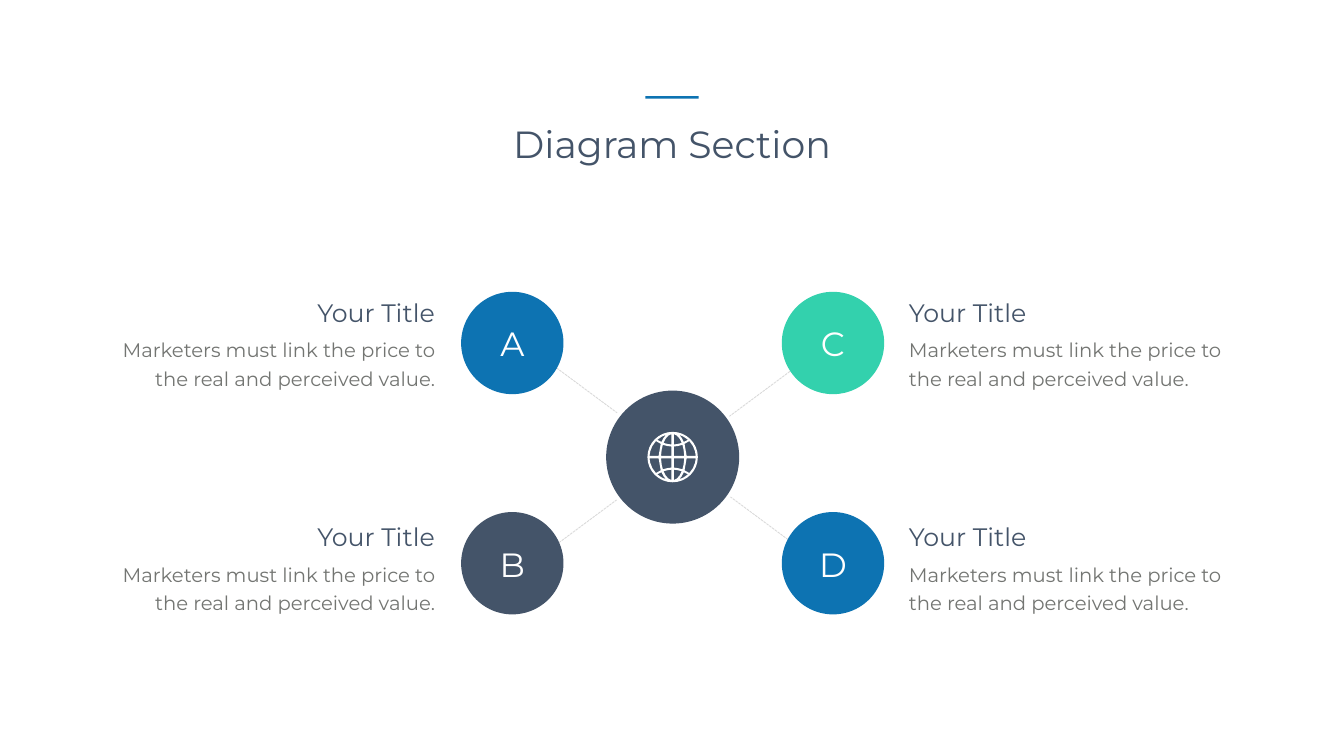
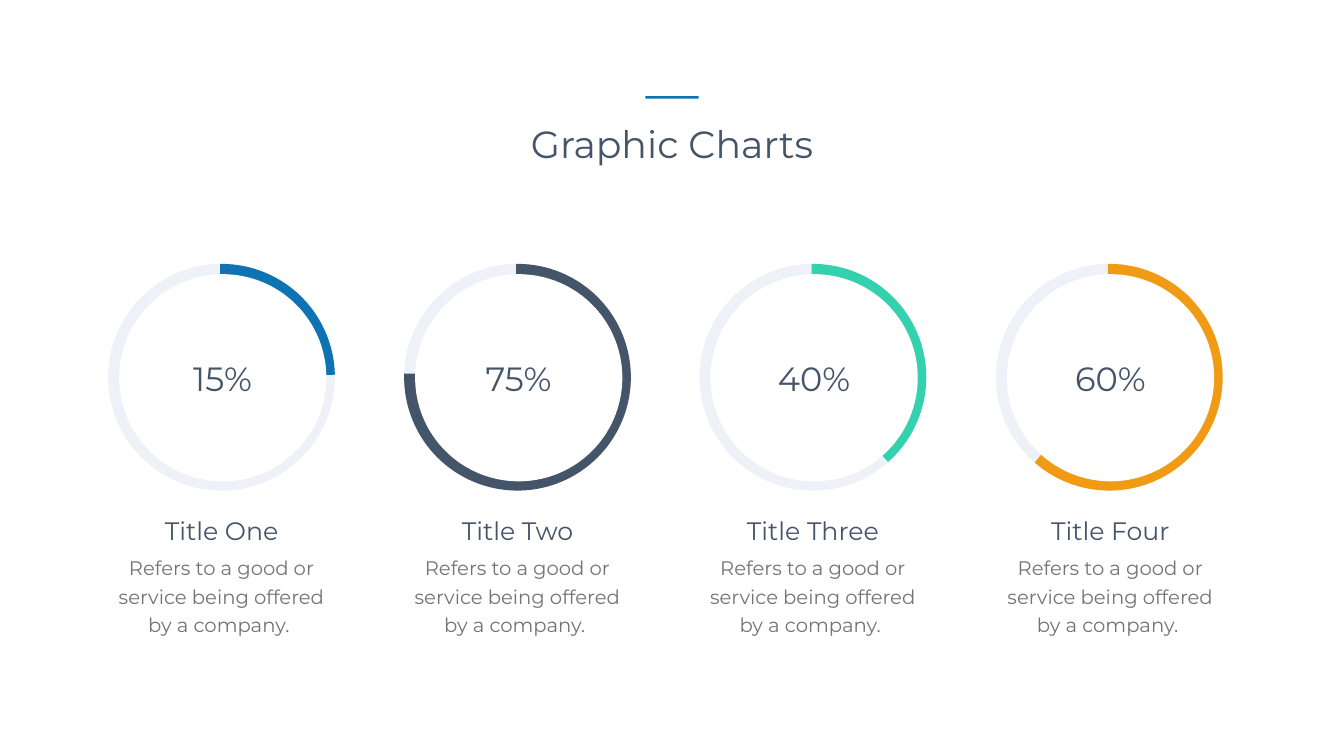
from math import cos, pi, sin, sqrt

from lxml.etree import SubElement
from pptx import Presentation
from pptx.dml.color import RGBColor
from pptx.enum.dml import MSO_LINE
from pptx.enum.shapes import MSO_CONNECTOR, MSO_SHAPE
from pptx.enum.text import MSO_ANCHOR, MSO_AUTO_SIZE, PP_ALIGN
from pptx.oxml.ns import qn
from pptx.util import Pt

COLORS = {
    "blue": "0D73B2",
    "slate": "445469",
    "mint": "33D1AD",
    "orange": "F19A14",
    "track": "EFF1F8",
    "spoke": "D9D9D9",
    "body": "737572",
    "white": "FFFFFF",
}
FONT = "Montserrat"
SLIDE_WIDTH, SLIDE_HEIGHT = 1919.52, 1080

HUB_X, HUB_Y, HUB_SIZE = 960.7, 653, 190
BALL_SIZE, BALL_REACH = 146.2, 229
ROWS = {
    "top": {"ball": 416.9, "letter": 457.2, "text": 420.5},
    "bottom": {"ball": 731.5, "letter": 774, "text": 741.6},
}
NODES = [
    ("A", -1, "top", "blue", (881.3, 589.7)),
    ("B", -1, "bottom", "slate", (880.6, 714.2)),
    ("C", 1, "top", "mint", (1041.8, 594.7)),
    ("D", 1, "bottom", "blue", (1043.3, 709.9)),
]
SPOKE_RUN, SPOKE_RISE = 86.4, 64.1

RING_TOP, RING_SIZE = 389.5, 298.8
ARC_START = 269.26
RINGS = [
    (167, 150.5, "15%", "Title One", "blue", 358.78),
    (589.7, 573.1, "75%", "Title Two", "slate", 181.94),
    (1011.6, 995, "40%", "Title Three", "mint", 48.5),
    (1434.9, 1419.8, "60%", "Title Four", "orange", 131.28),
]


def rgb(name):
    return RGBColor.from_string(COLORS[name])


def write(shape, text, size, color, align, spacing=None):
    frame = shape.text_frame
    frame.word_wrap = True
    frame.auto_size = MSO_AUTO_SIZE.SHAPE_TO_FIT_TEXT
    frame.vertical_anchor = MSO_ANCHOR.TOP
    para = frame.paragraphs[0]
    para.text = text
    para.alignment = align
    if spacing:
        para.line_spacing = Pt(spacing)
    para.font.name = FONT
    para.font.size = Pt(size)
    para.font.color.rgb = rgb(color)


def add_text(page, box, text, size, color, align=PP_ALIGN.CENTER, spacing=None):
    shape = page.shapes.add_textbox(*map(Pt, box))
    write(shape, text, size, color, align, spacing)


def add_caption(page, heading_box, body_box, heading, body, align):
    add_text(page, heading_box, heading, 36, "slate", align)
    add_text(page, body_box, body, 28, "body", align, spacing=40.8)


def add_figure(page, kind, box, fill=None, line=None):
    shape = page.shapes.add_shape(kind, *map(Pt, box))
    shape.shadow.inherit = False
    if fill:
        shape.fill.solid()
        shape.fill.fore_color.rgb = rgb(fill)
    else:
        shape.fill.background()
    if line:
        shape.line.color.rgb = rgb(line)
        shape.line.width = Pt(25)
    else:
        shape.line.fill.background()
    return shape


def add_page(deck, title):
    page = deck.slides.add_slide(deck.slide_layouts[5])
    holder = page.shapes.title
    holder.left, holder.top, holder.width, holder.height = map(Pt, (593.3, 168.5, 733, 72.7))
    write(holder, title, 54, "slate", PP_ALIGN.CENTER)
    add_figure(page, MSO_SHAPE.RECTANGLE, (921.6, 137.4, 76.3, 3.6), "blue")
    return page


def add_spoke(page, start, end):
    spoke = page.shapes.add_connector(MSO_CONNECTOR.STRAIGHT, *map(Pt, (*start, *end)))
    spoke.line.color.rgb = rgb("spoke")
    spoke.line.width = Pt(1.25)
    spoke.line.dash_style = MSO_LINE.SQUARE_DOT
    SubElement(spoke._element.spPr, qn("a:effectLst"))


def ellipse_height(x, half_width, half_height):
    return half_height * sqrt(max(0, 1 - (x / half_width) ** 2))


def globe_windows(bar=1.8, rim=33):
    def inner(x):
        return ellipse_height(x, 16.5, rim)

    def outer(x):
        return ellipse_height(x, 20, 36)

    def edge(x):
        return ellipse_height(x, rim, rim)

    def near(x):
        return 15 + x * x / 72

    def far(x):
        return 18 + x * x / 72

    cells = [
        ((bar, 8, 14, 15.6, 16.4), lambda x: bar, lambda x: min(near(x), inner(x))),
        ((bar, 6, 10, 13), far, inner),
        ((17, 20, 23.8, 29, 32, 32.9), lambda x: max(bar, outer(x)), lambda x: min(near(x), edge(x))),
        ((9.6, 13, 16, 21.9), lambda x: max(far(x), outer(x)), edge),
    ]
    for across, floor, ceiling in cells:
        outline = [(x, floor(x)) for x in across] + [(x, ceiling(x)) for x in reversed(across)]
        for flip_x in (-1, 1):
            for flip_y in (-1, 1):
                yield [(flip_x * x, flip_y * y) for x, y in outline]


def add_globe(page, center_x, center_y, radius=36, corners=32, detail=100):
    turns = [2 * pi * i / corners for i in range(corners)]
    disc = [(radius * cos(turn), radius * sin(turn)) for turn in turns]
    builder = page.shapes.build_freeform(radius * detail, 0, scale=Pt(1) / detail)
    for index, outline in enumerate([disc, *globe_windows()]):
        points = [(x * detail, y * detail) for x, y in outline]
        if index:
            builder.move_to(*points[0])
        builder.add_line_segments(points[1:], close=True)
    globe = builder.convert_to_shape(Pt(center_x), Pt(center_y))
    globe.shadow.inherit = False
    globe.fill.solid()
    globe.fill.fore_color.rgb = rgb("white")
    globe.line.fill.background()


def add_node(page, letter, side, row, color):
    tops = ROWS[row]
    center = HUB_X + side * BALL_REACH
    ball_box = (center - BALL_SIZE / 2, tops["ball"], BALL_SIZE, BALL_SIZE)
    add_figure(page, MSO_SHAPE.OVAL, ball_box, color)
    add_text(page, (center - 50.75, tops["letter"], 101.5, 65.5), letter, 48, "white")

    heading_width, body_width = 424, 460.8
    heading_left = 1291 if side > 0 else 628 - heading_width
    body_left = 1291 if side > 0 else 628.4 - body_width
    add_caption(
        page,
        (heading_left, tops["text"], heading_width, 51.1),
        (body_left, tops["text"] + 51.7, body_width, 86.4),
        "Your Title",
        "Marketers must link the price to the real and perceived value.",
        PP_ALIGN.LEFT if side > 0 else PP_ALIGN.RIGHT,
    )


def add_hub_diagram(deck):
    page = add_page(deck, "Diagram Section")
    for letter, side, row, color, (x, y) in NODES:
        rise = -SPOKE_RISE if row == "top" else SPOKE_RISE
        add_spoke(page, (x + side * SPOKE_RUN, y + rise), (x, y))
    for letter, side, row, color, spoke_end in NODES:
        add_node(page, letter, side, row, color)
    hub_box = (HUB_X - HUB_SIZE / 2, HUB_Y - HUB_SIZE / 2, HUB_SIZE, HUB_SIZE)
    add_figure(page, MSO_SHAPE.OVAL, hub_box, "slate")
    add_globe(page, HUB_X, HUB_Y)


def add_ring(page, top, left, caption_left, percent, heading, color, arc_end):
    ring_box = (left, top, RING_SIZE, RING_SIZE)
    add_figure(page, MSO_SHAPE.OVAL, ring_box, "blue", "track")
    arc = add_figure(page, MSO_SHAPE.ARC, ring_box, line=color)
    arc.adjustments[0] = ARC_START * 0.6
    arc.adjustments[1] = arc_end * 0.6
    add_figure(page, MSO_SHAPE.OVAL, (left + 3.2, top + 2.2, 295.9, 295.9), "white")
    add_text(page, (left + 71.4, top + 118, 159, 65.5), percent, 48, "slate")
    add_caption(
        page,
        (caption_left, top + 343.4, 332, 51.1),
        (caption_left + 7.3, top + 393.9, 316.8, 131.8),
        heading,
        "Refers to a good or service being offered by a company. ",
        PP_ALIGN.CENTER,
    )


def add_ring_charts(deck):
    page = add_page(deck, "Graphic Charts")
    for ring in RINGS:
        add_ring(page, RING_TOP, *ring)


def main():
    deck = Presentation()
    deck.slide_width = Pt(SLIDE_WIDTH)
    deck.slide_height = Pt(SLIDE_HEIGHT)
    add_hub_diagram(deck)
    add_ring_charts(deck)
    deck.save("out.pptx")


if __name__ == "__main__":
    main()
